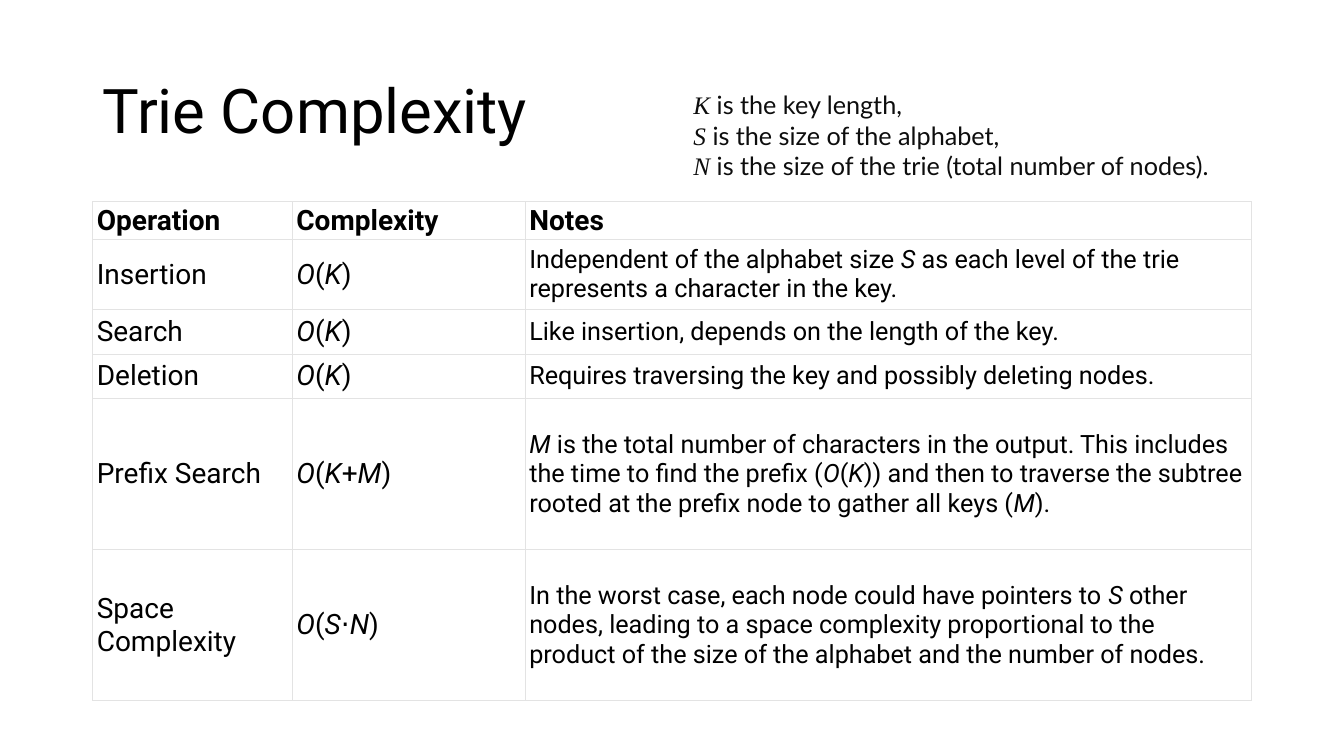
import pptx
import pptx.util
import pptx.dml.color
import pptx.enum.text
import pptx.oxml
import pptx.oxml.ns

Inches = pptx.util.Inches
ANCHOR = pptx.enum.text.MSO_ANCHOR

# Content: *asterisks* mark variables set in italics
TITLE = "Trie Complexity"
LEGEND = [
    "*K* is the key length,",
    "*S* is the size of the alphabet,",
    "*N* is the size of the trie (total number of nodes).",
]
HEADER = ("Operation", "Complexity", "Notes")
OPERATIONS = [
    ("Insertion", "*O*(*K*)",
     "Independent of the alphabet size *S* as each level of the trie "
     "represents a character in the key."),
    ("Search", "*O*(*K*)", "Like insertion, depends on the length of the key."),
    ("Deletion", "*O*(*K*)", "Requires traversing the key and possibly deleting nodes."),
    ("Prefix Search", "*O*(*K*+*M*)",
     "*M* is the total number of characters in the output. This includes "
     "the time to find the prefix (*O*(*K*)) and then to traverse the subtree "
     "rooted at the prefix node to gather all keys (*M*)."),
    ("Space Complexity", "*O*(*S*⋅*N*)",
     "In the worst case, each node could have pointers to *S* other nodes, "
     "leading to a space complexity proportional to the product of the size "
     "of the alphabet and the number of nodes."),
]
COLUMN_WIDTHS = (1.98, 2.31, 7.2)
ROW_HEIGHTS = (0.37, 0.7, 0.44, 0.44, 1.5, 1.5)
COLORS = {"text": "000000", "legend": "0D0D0D", "border": "E3E3E3", "cell": "FFFFFF"}


def rgb(name):
    return pptx.dml.color.RGBColor.from_string(COLORS[name])


def write_text(paragraph, text, size, font="Roboto", italic_font=None,
               color="text", bold=False, line_spacing=None):
    """Fill a paragraph, with the parts between asterisks in italics."""
    if line_spacing:
        paragraph.line_spacing = line_spacing
    for index, part in enumerate(text.split("*")):
        if not part:
            continue
        italic = index % 2 == 1
        run = paragraph.add_run()
        run.text = part
        run.font.name = italic_font if italic and italic_font else font
        run.font.size = pptx.util.Pt(size)
        run.font.bold = bold
        run.font.italic = italic
        run.font.color.rgb = rgb(color)


def add_text_frame(slide, left, top, width, height, anchor):
    box = slide.shapes.add_textbox(Inches(left), Inches(top), Inches(width), Inches(height))
    box.text_frame.word_wrap = True
    box.text_frame.vertical_anchor = anchor
    return box.text_frame


def set_borders(cell, widths):
    """Draw the left, right, top and bottom borders with widths in points."""
    properties = cell._tc.get_or_add_tcPr()
    for side, width in zip("LRTB", widths):
        properties.append(pptx.oxml.parse_xml(
            f'<a:ln{side} {pptx.oxml.ns.nsdecls("a")} w="{pptx.util.Pt(width)}">'
            f'<a:solidFill><a:srgbClr val="{COLORS["border"]}"/></a:solidFill>'
            f'</a:ln{side}>'))


def add_complexity_table(slide):
    rows = [HEADER] + OPERATIONS
    table = slide.shapes.add_table(
        len(rows), len(HEADER), Inches(0.92), Inches(2),
        Inches(sum(COLUMN_WIDTHS)), Inches(sum(ROW_HEIGHTS))).table
    table.horz_banding = False
    for column, width in zip(table.columns, COLUMN_WIDTHS):
        column.width = Inches(width)
    for row, height in zip(table.rows, ROW_HEIGHTS):
        row.height = Inches(height)

    for row_index, texts in enumerate(rows):
        is_header = row_index == 0
        top = 0.75 if is_header else 1
        bottom = 0.75 if row_index == len(rows) - 1 else 1
        for column_index, text in enumerate(texts):
            cell = table.cell(row_index, column_index)
            cell.margin_left = cell.margin_right = Inches(0.04)
            cell.margin_top = cell.margin_bottom = Inches(0.02)
            cell.vertical_anchor = ANCHOR.BOTTOM if is_header else ANCHOR.MIDDLE
            set_borders(cell, (0.75, 0.75, top, bottom))
            cell.fill.solid()
            cell.fill.fore_color.rgb = rgb("cell")
            is_note = column_index == 2 and not is_header
            write_text(cell.text_frame.paragraphs[0], text,
                       size=18 if is_note else 20, bold=is_header)


def main():
    presentation = pptx.Presentation()
    presentation.slide_width = Inches(13.33)
    presentation.slide_height = Inches(7.5)
    slide = presentation.slides.add_slide(presentation.slide_layouts[6])

    # Title
    title = add_text_frame(slide, 0.92, 0.4, 5.6, 1.45, ANCHOR.MIDDLE)
    write_text(title.paragraphs[0], TITLE, size=44, line_spacing=0.9)

    # Operations table
    add_complexity_table(slide)

    # Legend of the variables
    legend = add_text_frame(slide, 6.78, 0.84, 6.5, 1.01, ANCHOR.TOP)
    for index, line in enumerate(LEGEND):
        paragraph = legend.add_paragraph() if index else legend.paragraphs[0]
        write_text(paragraph, line, size=18, font="Lato",
                   italic_font="Times New Roman", color="legend")

    presentation.save("out.pptx")


if __name__ == "__main__":
    main()
